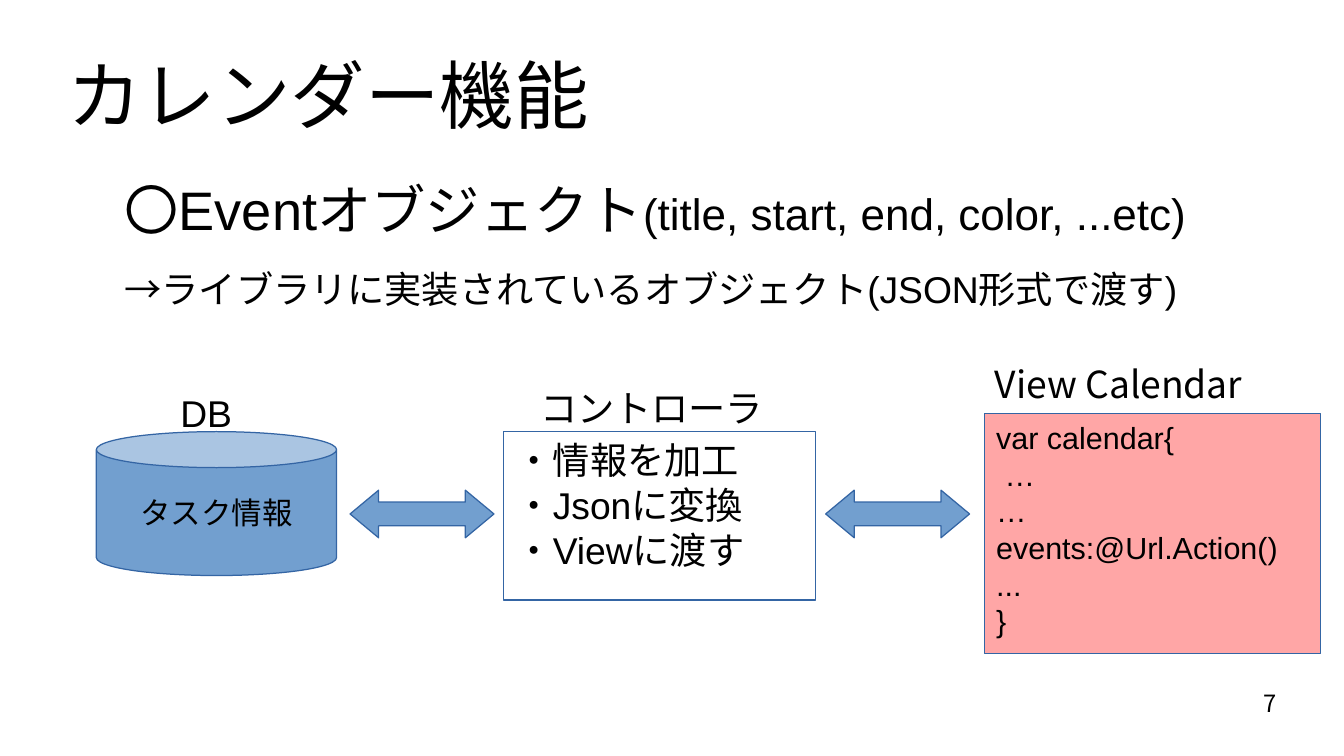
from pptx import Presentation
from pptx.dml.color import RGBColor
from pptx.enum.shapes import MSO_SHAPE
from pptx.enum.text import MSO_ANCHOR, PP_ALIGN
from pptx.oxml.ns import qn
from pptx.util import Inches, Pt
from lxml import etree

CAN, RECT, ARROW = MSO_SHAPE.CAN, MSO_SHAPE.RECTANGLE, MSO_SHAPE.LEFT_RIGHT_ARROW
TOP, MIDDLE = MSO_ANCHOR.TOP, MSO_ANCHOR.MIDDLE
LEFT, CENTER, RIGHT = PP_ALIGN.LEFT, PP_ALIGN.CENTER, PP_ALIGN.RIGHT
BLACK = RGBColor(0x00, 0x00, 0x00)
BLUE = RGBColor(0x72, 0x9F, 0xCF)
OUTLINE = RGBColor(0x34, 0x65, 0xA4)
PINK = RGBColor(0xFF, 0xA6, 0xA6)
LATIN, JAPANESE = "Arial", "Noto Sans CJK JP"


def write(sp, paragraphs, font=LATIN, align=LEFT, anchor=TOP, inset=(0.1, 0.05),
          before=0, indent=0):
    """Fill a shape with paragraphs, each a list of (text, size) runs."""
    tf = sp.text_frame
    tf.word_wrap = True
    tf.vertical_anchor = anchor
    tf.margin_left = tf.margin_right = Inches(inset[0])
    tf.margin_top = tf.margin_bottom = Inches(inset[1])
    for i, runs in enumerate(paragraphs):
        p = tf.add_paragraph() if i else tf.paragraphs[0]
        p.alignment = align
        p.space_before = Pt(before)
        if indent:
            pPr = p._p.get_or_add_pPr()
            pPr.set("marL", str(Inches(indent)))
            pPr.set("indent", "0")
        for text, size in runs:
            r = p.add_run()
            r.text = text
            r.font.size = Pt(size)
            r.font.name = font
            r.font.color.rgb = BLACK
            ea = etree.SubElement(r._r.get_or_add_rPr(), qn("a:ea"))
            ea.set("typeface", JAPANESE)


def add_text(s, box, paragraphs, **style):
    """Add a text box."""
    write(s.shapes.add_textbox(*map(Inches, box)), paragraphs, **style)


def add_shape(s, kind, box, fill=None):
    """Add a preset shape with a hairline outline."""
    sp = s.shapes.add_shape(kind, *map(Inches, box))
    sp.shadow.inherit = False
    if fill is None:
        sp.fill.background()
    else:
        sp.fill.solid()
        sp.fill.fore_color.rgb = fill
    sp.line.color.rgb = OUTLINE
    sp.line.width = Pt(0)
    return sp


def add_heading(s, x, y, w):
    """Place the title and the two lines about the event object."""
    add_text(s, (x, y, w, 1.04), [[("カレンダー機能", 44)]], anchor=MIDDLE, inset=(0, 0))
    add_text(s, (x, y + 1.2, w, 1.5), [
        [("〇Eventオブジェクト", 32), ("(title, start, end, color, ...etc)", 26)],
        [("→ライブラリに実装されているオブジェクト(JSON形式で渡す)", 22)],
    ], inset=(0, 0), before=14.2, indent=0.47)


def add_database(s, x, y, w, h):
    """Place the database cylinder and its label."""
    can = add_shape(s, CAN, (x, y, w, h), BLUE)
    write(can, [[("タスク情報", 18)]], align=CENTER, anchor=MIDDLE)
    add_text(s, (x + 0.59, y - 0.39, 1.18, 0.58), [[("DB", 22)]])


def add_code_box(s, box, label, label_box, lines, size, fill=None, label_font=LATIN):
    """Place a labelled box of lines, the label relative to its corner."""
    x, y = box[:2]
    dx, dy, w, h = label_box
    write(add_shape(s, RECT, box, fill), [[(line, size)] for line in lines])
    add_text(s, (x + dx, y + dy, w, h), [[(label, 22)]], font=label_font)


def add_flow(s, x, y):
    """Place the database, controller and view with arrows between them."""
    add_database(s, x, y, 1.97, 1.18)
    add_code_box(s, (x + 3.34, y, 2.56, 1.38), "コントローラ", (0.2, -0.43, 2.17, 0.54),
                 ["・情報を加工", "・Jsonに変換", "・Viewに渡す"], 22)
    add_code_box(s, (x + 7.28, y - 0.15, 2.76, 1.97), "View Calendar",
                 (-0.01, -0.48, 2.95, 0.52),
                 ["var calendar{", " …", "…", "events:@Url.Action()", "...", "}"],
                 18, PINK, JAPANESE)
    for dx in (2.08, 5.98):
        arrow = add_shape(s, ARROW, (x + dx, y + 0.48, 1.18, 0.39), BLUE)
        arrow.adjustments[0] = 0.5
        arrow.adjustments[1] = 0.6


def main():
    """Build and save the slide."""
    prs = Presentation()
    prs.slide_width, prs.slide_height = Inches(11.02), Inches(6.2)
    s = prs.slides.add_slide(prs.slide_layouts[6])
    add_heading(s, 0.55, 0.25, 9.92)
    add_flow(s, 0.79, 3.54)
    add_text(s, (7.9, 5.65, 2.57, 0.43), [[("7", 14)]], font=JAPANESE, align=RIGHT,
             inset=(0, 0))
    prs.save("out.pptx")


main()
